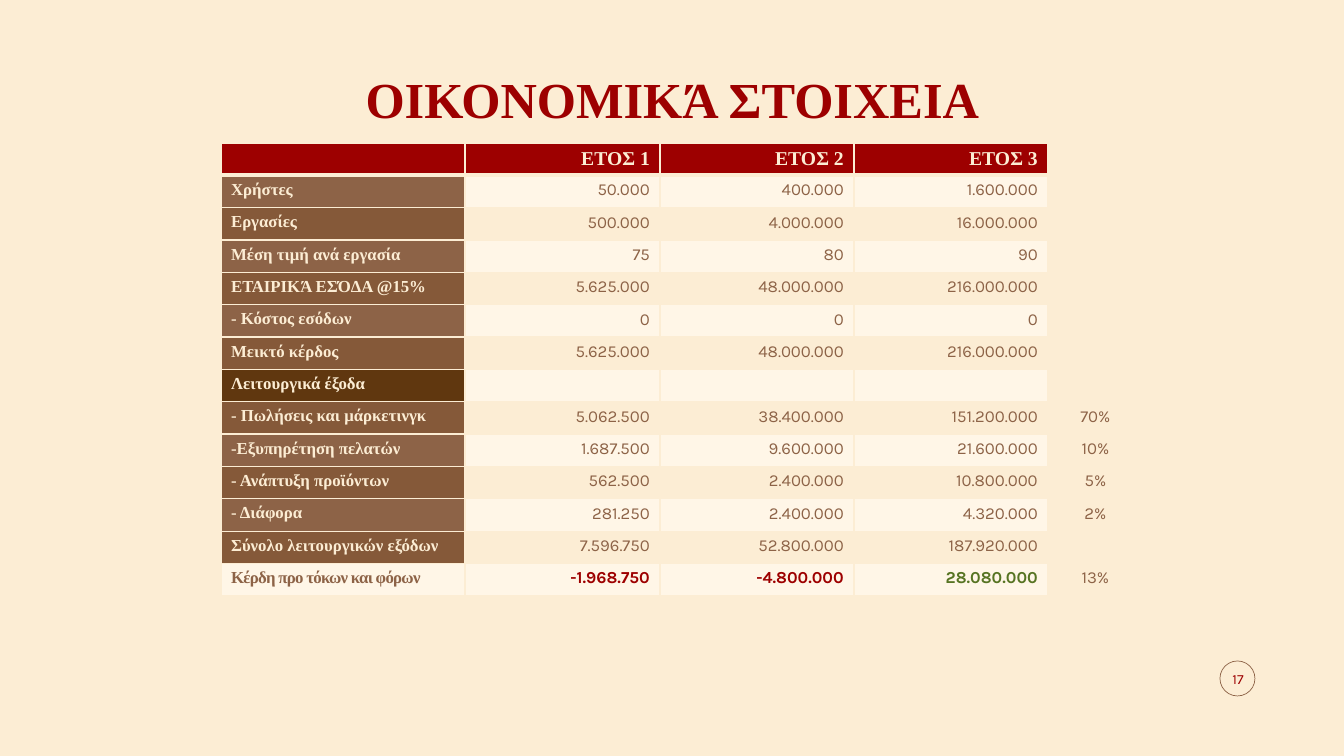
import pptx
import pptx.util
import pptx.dml.color
import pptx.enum.shapes
import pptx.enum.text
import pptx.oxml.ns
import lxml.etree

COLORS = {"cream": "FCEDD4", "light": "FFF6E7", "red": "9D0000", "brown": "8D6347",
          "brown_alt": "855939", "dark": "60370F", "green": "577423"}
ALIGN = pptx.enum.text.PP_ALIGN
ANCHOR = pptx.enum.text.MSO_ANCHOR
SERIF, SANS = "Times New Roman", "Karla"


def px(n):
    return round(n * 914400 / 100.8)


def add_text(tf, text, size, font, color, bold, align):
    p = tf.paragraphs[0]
    p.alignment = align
    r = p.add_run()
    r.text = text
    r.font.size = pptx.util.Pt(size)
    r.font.name = font
    r.font.bold = bold
    r.font.color.rgb = pptx.dml.color.RGBColor.from_string(COLORS[color])
    return r


prs = pptx.Presentation()
prs.slide_width, prs.slide_height = px(1344), px(756)
s = prs.slides.add_slide(prs.slide_layouts[5])
s.background.fill.solid()
s.background.fill.fore_color.rgb = pptx.dml.color.RGBColor.from_string(COLORS["cream"])

title = s.shapes.title
title.left, title.top, title.width, title.height = px(93), px(57), px(1159), px(78)
tf = title.text_frame
tf.auto_size = pptx.enum.text.MSO_AUTO_SIZE.NONE
tf.vertical_anchor = ANCHOR.BOTTOM
add_text(tf, "ΟΙΚΟΝΟΜΙΚΆ ΣΤΟΙΧΕΙΑ", 36, SERIF, "red", True, ALIGN.CENTER)
tf.paragraphs[0].line_spacing = 0.9

rows = [
    ("", "ΕΤΟΣ 1", "ΕΤΟΣ 2", "ΕΤΟΣ 3", ""),
    ("Χρήστες", "50.000", "400.000", "1.600.000", ""),
    ("Εργασίες", "500.000", "4.000.000", "16.000.000", ""),
    ("Μέση τιμή ανά εργασία", "75", "80", "90", ""),
    ("ΕΤΑΙΡΙΚΆ ΕΣΌΔΑ @15%", "5.625.000", "48.000.000", "216.000.000", ""),
    ("- Κόστος εσόδων", "0", "0", "0", ""),
    ("Μεικτό κέρδος", "5.625.000", "48.000.000", "216.000.000", ""),
    ("Λειτουργικά έξοδα", "", "", "", ""),
    ("- Πωλήσεις και μάρκετινγκ", "5.062.500", "38.400.000", "151.200.000", "70%"),
    ("-Εξυπηρέτηση πελατών", "1.687.500", "9.600.000", "21.600.000", "10%"),
    ("- Ανάπτυξη προϊόντων", "562.500", "2.400.000", "10.800.000", "5%"),
    ("- Διάφορα", "281.250", "2.400.000", "4.320.000", "2%"),
    ("Σύνολο λειτουργικών εξόδων", "7.596.750", "52.800.000", "187.920.000", ""),
    ("Κέρδη προ τόκων και φόρων", "-1.968.750", "-4.800.000", "28.080.000", "13%"),
]
last = len(rows) - 1
section = 7
widths = [244, 195, 194, 194, 95]
table = s.shapes.add_table(len(rows), len(widths), px(221), px(143), px(sum(widths)), px(453)).table
table.horz_banding = False
for col, width in zip(table.columns, widths):
    col.width = px(width)

for i, row in enumerate(rows):
    table.rows[i].height = px(453) // len(rows)
    for j, text in enumerate(row):
        cell = table.cell(i, j)
        tcPr = cell._tc.get_or_add_tcPr()
        for side in "LRTB":
            thick = (i == 0 and side == "B") or (i == 1 and side == "T")
            ln = lxml.etree.SubElement(tcPr, pptx.oxml.ns.qn("a:ln" + side),
                                       w=str(pptx.util.Pt(3 if thick else 1)))
            line_fill = lxml.etree.SubElement(ln, pptx.oxml.ns.qn("a:solidFill"))
            lxml.etree.SubElement(line_fill, pptx.oxml.ns.qn("a:srgbClr"), val=COLORS["cream"])

        if j == 4:
            fill = None
        elif i == 0:
            fill = "red"
        elif j == 0 and i == section:
            fill = "dark"
        elif j == 0 and i < last:
            fill = "brown" if i % 2 else "brown_alt"
        else:
            fill = "light" if i % 2 else None
        if fill:
            cell.fill.solid()
            cell.fill.fore_color.rgb = pptx.dml.color.RGBColor.from_string(COLORS[fill])
        else:
            cell.fill.background()

        if not text:
            cell.text_frame.paragraphs[0]._p.get_or_add_endParaRPr().set("sz", "1200")
            continue
        heading = i == 0 or j == 0
        color = "cream" if heading and i < last else "brown"
        if i == last and j in (1, 2, 3):
            color = "green" if j == 3 else "red"
        align = (ALIGN.LEFT, ALIGN.RIGHT, ALIGN.RIGHT, ALIGN.RIGHT, ALIGN.CENTER)[j]
        bold = heading or (i == last and j < 4)
        r = add_text(cell.text_frame, text, 14 if i == 0 else 12,
                     SERIF if heading else SANS, color, bold, align)
        if i == last and j == 0:
            r.font._element.set("spc", "-50")

ring = s.shapes.add_shape(pptx.enum.shapes.MSO_SHAPE.OVAL, px(1220), px(661), px(35), px(35))
ring.shadow.inherit = False
ring.fill.background()
ring.line.color.rgb = pptx.dml.color.RGBColor.from_string(COLORS["brown"])
ring.line.width = pptx.util.Pt(0.5)

number = s.shapes.add_textbox(px(1218), px(659), px(40), px(40))
tf = number.text_frame
tf.word_wrap = True
tf.margin_left = tf.margin_right = tf.margin_top = tf.margin_bottom = 0
tf.vertical_anchor = ANCHOR.MIDDLE
add_text(tf, "17", 10, SANS, "red", False, ALIGN.CENTER)

prs.save("out.pptx")
